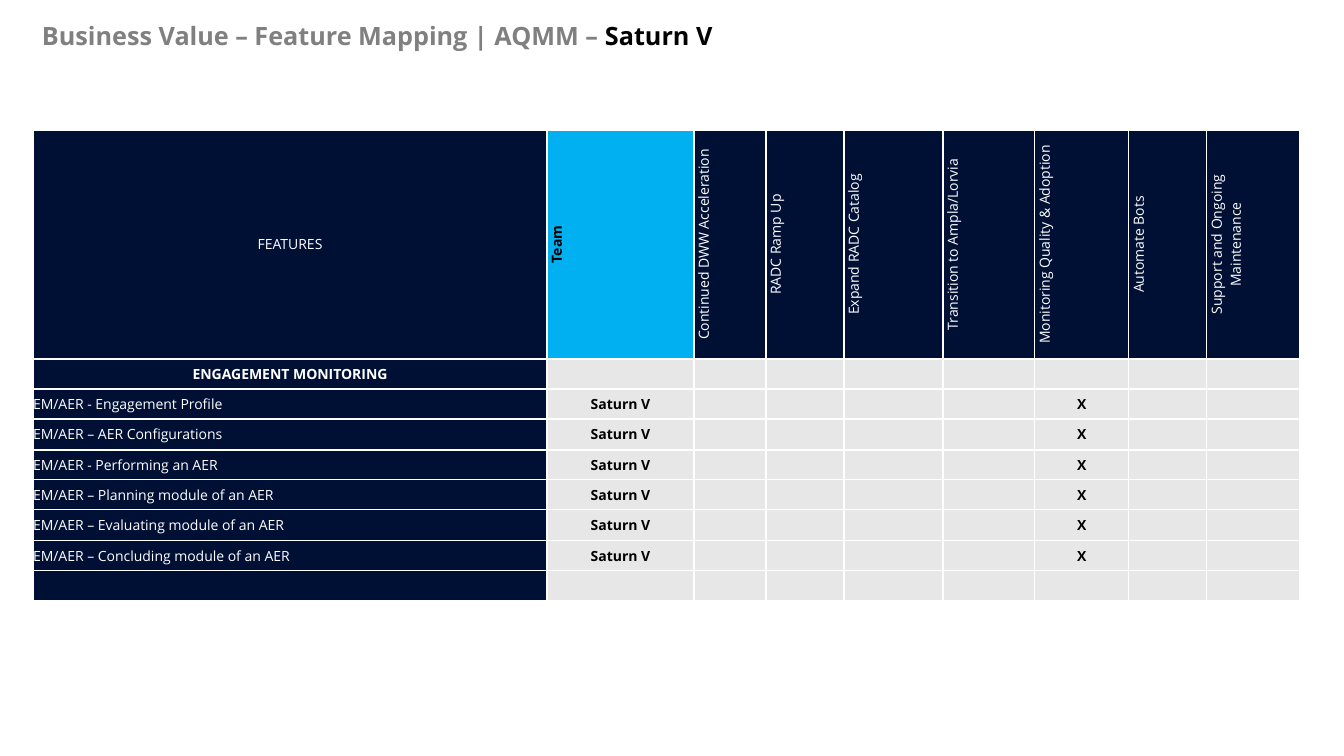
from lxml import etree
from pptx import Presentation, util as u
from pptx.dml.color import RGBColor
from pptx.enum import text
from pptx.oxml import ns

# Content
TITLE = ("Business Value – Feature Mapping | AQMM – ", "Saturn V")
TEAM = "Saturn V"
HEADERS = [
    "FEATURES", "Team", "Continued DWW Acceleration", "RADC Ramp Up",
    "Expand RADC Catalog", "Transition to Ampla/Lorvia",
    "Monitoring Quality & Adoption", "Automate Bots",
    "Support and Ongoing\nMaintenance",
]
SECTION = "ENGAGEMENT MONITORING"
FEATURES = [
    "EM/AER - Engagement Profile",
    "EM/AER – AER Configurations",
    "EM/AER - Performing an AER",
    "EM/AER – Planning module of an AER",
    "EM/AER – Evaluating module of an AER",
    "EM/AER – Concluding module of an AER",
]
MARKED_COLUMN = HEADERS.index("Monitoring Quality & Adoption")

# Layout in px and style
SLIDE_SIZE = (1344, 756)
TITLE_BOX = (42, 19, 1241, 37)
TABLE_LEFT, TABLE_TOP = 33, 130
COLUMN_WIDTHS = [514, 147, 72, 78, 99, 92, 94, 78, 93]
HEADER_HEIGHT, BODY_HEIGHT = 229, 242
FONT = "Open Sans"
COLORS = {"navy": "001035", "cyan": "00B0F0", "pale": "E7E7E7",
          "white": "FFFFFF", "black": "000000", "gray": "808080"}
CENTER, LEFT = text.PP_ALIGN.CENTER, text.PP_ALIGN.LEFT


def px(length):
    return u.Emu(round(length * 914400 / 100.8))


def color(name):
    return RGBColor.from_string(COLORS[name])


def write(paragraph, content, size=10, ink="white", bold=False, align=LEFT):
    paragraph.alignment = align
    points = str(size * 100)
    if not content:
        etree.SubElement(paragraph._p, ns.qn("a:endParaRPr"), sz=points)
        return
    for i, line in enumerate(content.split("\n")):
        if i:
            paragraph.add_line_break()
            etree.SubElement(paragraph._p[-1], ns.qn("a:rPr"), sz=points)
        run = paragraph.add_run()
        run.text = line
        run.font.name = FONT
        run.font.size = u.Pt(size)
        run.font.bold = bold
        run.font.color.rgb = color(ink)


def clear_margins(box):
    box.margin_left = box.margin_right = box.margin_top = box.margin_bottom = 0
    box.vertical_anchor = text.MSO_ANCHOR.MIDDLE


def style_cell(cell, fill, vertical=False):
    clear_margins(cell)
    properties = cell._tc.get_or_add_tcPr()
    if vertical:
        properties.set("vert", "vert270")
    for side in "LRTB":
        line = etree.SubElement(properties, ns.qn("a:ln" + side), w=str(u.Pt(1)))
        solid = etree.SubElement(line, ns.qn("a:solidFill"))
        etree.SubElement(solid, ns.qn("a:srgbClr"), val=COLORS["white"])
    cell.fill.solid()
    cell.fill.fore_color.rgb = color(fill)


presentation = Presentation()
presentation.slide_width, presentation.slide_height = map(px, SLIDE_SIZE)
slide = presentation.slides.add_slide(presentation.slide_layouts[5])

# Title
title = slide.shapes.title
title.left, title.top, title.width, title.height = map(px, TITLE_BOX)
frame = title.text_frame
frame.word_wrap = True
frame.auto_size = text.MSO_AUTO_SIZE.NONE
clear_margins(frame)
heading = frame.paragraphs[0]
heading.line_spacing = 0.9
for part, ink in zip(TITLE, ("gray", "black")):
    write(heading, part, size=18, ink=ink, bold=True)

# Table grid: the body rows share the body height evenly
labels = [SECTION] + FEATURES + [""]
count = len(labels)
edges = [round(BODY_HEIGHT * i / count) for i in range(count + 1)]
row_heights = [HEADER_HEIGHT] + [b - a for a, b in zip(edges, edges[1:])]
table = slide.shapes.add_table(
    len(row_heights), len(HEADERS), px(TABLE_LEFT), px(TABLE_TOP),
    px(sum(COLUMN_WIDTHS)), px(sum(row_heights))).table
table.first_row = table.horz_banding = False
for column, width in zip(table.columns, COLUMN_WIDTHS):
    column.width = px(width)
for row, height in zip(table.rows, row_heights):
    row.height = px(height)

# Header row
for c, label in enumerate(HEADERS):
    cell = table.cell(0, c)
    is_team = label == "Team"
    style_cell(cell, "cyan" if is_team else "navy", vertical=c > 0)
    write(cell.text_frame.paragraphs[0], label, bold=is_team,
          ink="black" if is_team else "white", align=CENTER)

# Body rows
for r, label in enumerate(labels, start=1):
    is_section = label == SECTION
    marks = {1: TEAM, MARKED_COLUMN: "X"} if label in FEATURES else {}
    for c in range(len(HEADERS)):
        cell = table.cell(r, c)
        paragraph = cell.text_frame.paragraphs[0]
        style_cell(cell, "pale" if c else "navy")
        if c:
            write(paragraph, marks.get(c, ""), ink="black", bold=True, align=CENTER)
        else:
            write(paragraph, label, bold=is_section, align=CENTER if is_section else LEFT)

presentation.save("out.pptx")
